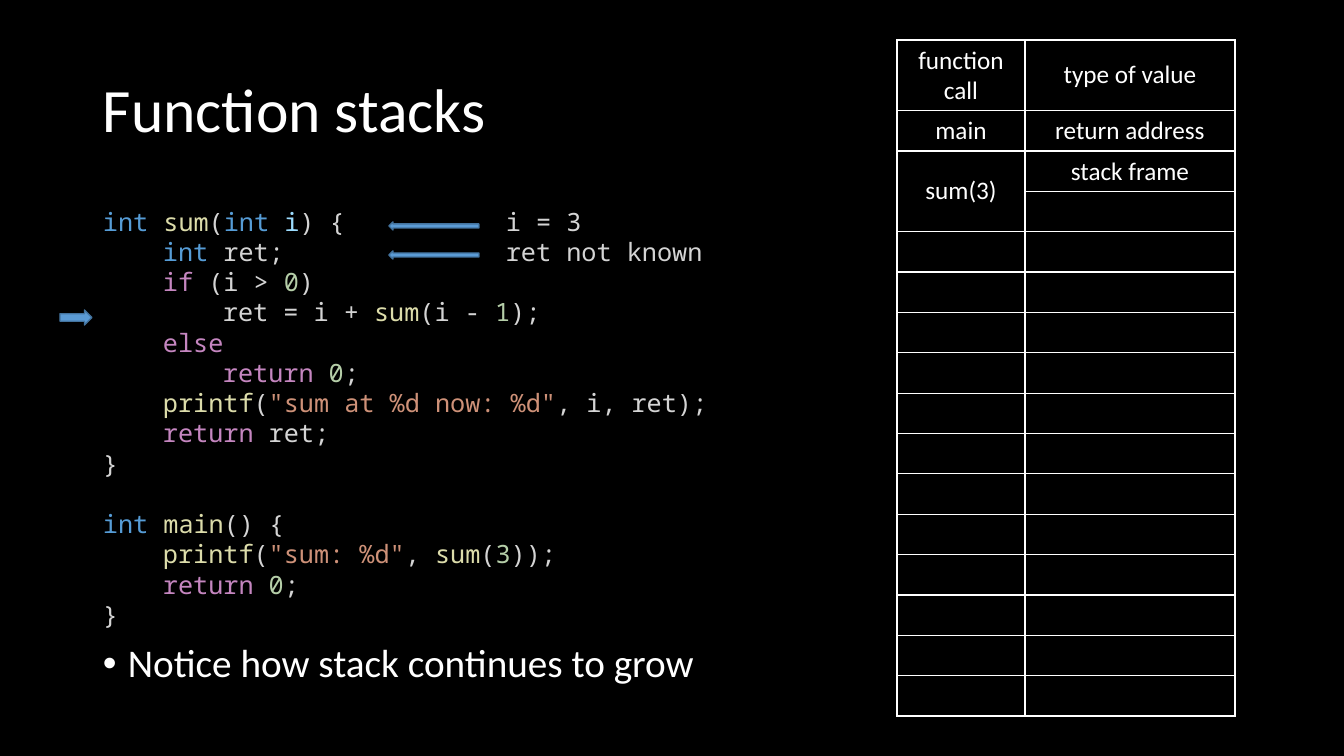
from lxml import etree
from pptx import Presentation
from pptx.dml.color import RGBColor
from pptx.enum.shapes import MSO_SHAPE
from pptx.enum.text import MSO_ANCHOR, PP_ALIGN
from pptx.oxml.ns import qn
from pptx.util import Pt

RIGHT_ARROW, LEFT_ARROW = MSO_SHAPE.RIGHT_ARROW, MSO_SHAPE.LEFT_ARROW
MIDDLE, TOP = MSO_ANCHOR.MIDDLE, MSO_ANCHOR.TOP
CENTER, LEFT = PP_ALIGN.CENTER, PP_ALIGN.LEFT

# Content
TITLE = "Function stacks"
REMARK = "Notice how stack continues to grow"

# Each function is a list of lines: indent level, then (colour name, text) spans
SUM_FUNCTION = [
    (0, [("type", "int "), ("call", "sum"), ("plain", "("), ("type", "int "),
         ("param", "i"), ("plain", ") {")]),
    (1, [("type", "int"), ("plain", " ret;")]),
    (1, [("flow", "if"), ("plain", " (i > "), ("number", "0"), ("plain", ")")]),
    (2, [("plain", "ret = i + "), ("call", "sum"), ("plain", "(i - "),
         ("number", "1"), ("plain", ");")]),
    (1, [("flow", "else")]),
    (2, [("flow", "return "), ("number", "0"), ("plain", ";")]),
    (1, [("call", "printf"), ("plain", "("), ("string", '"sum at %d now: %d"'),
         ("plain", ", i, ret);")]),
    (1, [("flow", "return"), ("plain", " ret;")]),
    (0, [("plain", "}")]),
]
MAIN_FUNCTION = [
    (0, [("type", "int "), ("call", "main"), ("plain", "() {")]),
    (1, [("call", "printf"), ("plain", "("), ("string", '"sum: %d"'), ("plain", ", "),
         ("call", "sum"), ("plain", "("), ("number", "3"), ("plain", "));")]),
    (1, [("flow", "return "), ("number", "0"), ("plain", ";")]),
    (0, [("plain", "}")]),
]

# Notes beside the first lines of code
NOTES = [
    (0, [("plain", "i = 3")]),
    (0, [("plain", "ret not known")]),
]

STACK = [
    ("function call", "type of value"),
    ("main", "return address"),
    ("sum(3)", "stack frame"),
]
STACK_ROWS = 16
SPANNED_ROWS = (2, 3)

# Arrow kind and left, top, width, height in px
ARROWS = [
    (RIGHT_ARROW, (60, 310, 32, 15)),
    (LEFT_ARROW, (389, 251, 90, 8)),
    (LEFT_ARROW, (389, 222, 90, 8)),
]


class Theme:
    text_font, code_font = "Calibri", "Noto Sans Mono"
    title_size, remark_size, text_size = 44, 28, 18
    code_pitch = 21.6
    background, white = "000000", "FFFFFF"
    arrow_fill, arrow_line = "5B9BD5", "43739E"
    code = {"type": "569CD6", "call": "DCDCAA", "plain": "D4D4D4", "param": "9CDCFE",
            "flow": "C586C0", "number": "B5CEA8", "string": "CE9178"}


# Geometry in px
SLIDE_W, SLIDE_H = 1344, 756
TITLE_BOX = (93, 40, 1159, 146)
CODE_BOX = (93, 201, 672, 468)
NOTE_BOX = (496, 201, 269, 81)
REMARK_BOX = (93, 639, 1159, 77)
TABLE_LEFT, TABLE_TOP = 897, 40
COLUMN_WIDTHS = (128, 210)
HEADER_H, ROW_H = 70, 40
CODE_INDENT, BULLET_INDENT = 60, 25


def px(length):
    return round(length * 12192000 / SLIDE_W)


def color(code):
    return RGBColor.from_string(code)


def write(para, spans, font=Theme.text_font, size=Theme.text_size, align=LEFT,
          spacing=None, before=0, indent=0, hanging=0):
    """Fill a paragraph with (text, colour) spans."""
    para.alignment = align
    para.space_before = Pt(before)
    if spacing:
        para.line_spacing = spacing
    props = para._p.get_or_add_pPr()
    props.set("marL", str(px(indent)))
    props.set("indent", str(px(-hanging)))
    for text, code in spans:
        span = para.add_run()
        span.text = text
        span.font.name, span.font.size = font, Pt(size)
        span.font.color.rgb = color(code)
    return props


def add_box(page, place, anchor=TOP):
    box = page.shapes.add_textbox(*map(px, place))
    box.text_frame.word_wrap = True
    box.text_frame.vertical_anchor = anchor
    return box.text_frame


def add_code(page, place, *blocks):
    """Write blocks of code lines, with one empty line's height between blocks."""
    frame = add_box(page, place)
    para = frame.paragraphs[0]
    for block_number, block in enumerate(blocks):
        for line_number, (level, spans) in enumerate(block):
            if block_number or line_number:
                para = frame.add_paragraph()
            opens_block = block_number > 0 and line_number == 0
            write(para, [(text, Theme.code[name]) for name, text in spans],
                  font=Theme.code_font, spacing=Pt(Theme.code_pitch),
                  before=Theme.code_pitch if opens_block else 0,
                  indent=level * CODE_INDENT)


def style_cell(cell):
    props = cell._tc.get_or_add_tcPr()
    for side in ("lnL", "lnR", "lnT", "lnB"):
        line = etree.SubElement(props, qn("a:" + side), w=str(Pt(1)))
        fill = etree.SubElement(line, qn("a:solidFill"))
        etree.SubElement(fill, qn("a:srgbClr"), val=Theme.white)
    cell.fill.background()
    cell.vertical_anchor = MIDDLE


def add_stack(page):
    height = HEADER_H + (STACK_ROWS - 1) * ROW_H
    table = page.shapes.add_table(
        STACK_ROWS, len(COLUMN_WIDTHS), px(TABLE_LEFT), px(TABLE_TOP),
        px(sum(COLUMN_WIDTHS)), px(height)).table
    table.first_row = table.horz_banding = False
    for column, width in zip(table.columns, COLUMN_WIDTHS):
        column.width = px(width)
    for number, row in enumerate(table.rows):
        row.height = px(ROW_H if number else HEADER_H)
        for cell in row.cells:
            style_cell(cell)
    for number, texts in enumerate(STACK):
        for cell, text in zip(table.rows[number].cells, texts):
            write(cell.text_frame.paragraphs[0], [(text, Theme.white)], align=CENTER)
    first, last = SPANNED_ROWS
    table.cell(first, 0).merge(table.cell(last, 0))


def add_arrow(page, kind, place):
    arrow = page.shapes.add_shape(kind, *map(px, place))
    arrow.shadow.inherit = False
    arrow.fill.solid()
    arrow.fill.fore_color.rgb = color(Theme.arrow_fill)
    arrow.line.color.rgb = color(Theme.arrow_line)
    arrow.line.width = Pt(1)


def main():
    deck = Presentation()
    deck.slide_width, deck.slide_height = px(SLIDE_W), px(SLIDE_H)
    page = deck.slides.add_slide(deck.slide_layouts[6])
    page.background.fill.solid()
    page.background.fill.fore_color.rgb = color(Theme.background)

    # Title, code with its notes, and stack table
    write(add_box(page, TITLE_BOX, MIDDLE).paragraphs[0], [(TITLE, Theme.white)],
          size=Theme.title_size, spacing=0.9)
    add_code(page, CODE_BOX, SUM_FUNCTION, MAIN_FUNCTION)
    add_code(page, NOTE_BOX, NOTES)
    add_stack(page)

    # Arrows marking the current line and the notes
    for kind, place in ARROWS:
        add_arrow(page, kind, place)

    # Bulleted remark
    props = write(add_box(page, REMARK_BOX).paragraphs[0], [(REMARK, Theme.white)],
                  size=Theme.remark_size, spacing=0.9, before=10,
                  indent=BULLET_INDENT, hanging=BULLET_INDENT)
    etree.SubElement(props, qn("a:buFont"), typeface="Arial")
    etree.SubElement(props, qn("a:buChar"), char="•")
    deck.save("out.pptx")


if __name__ == "__main__":
    main()
